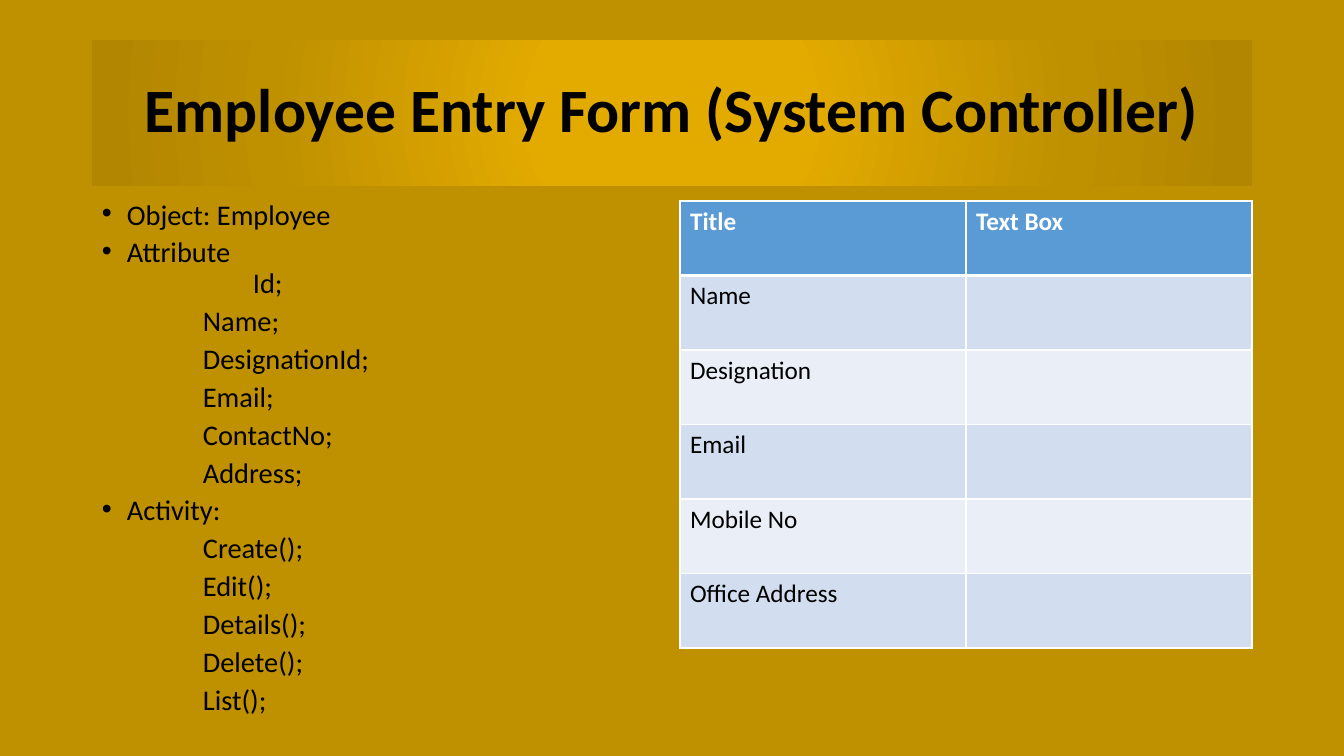
from lxml.etree import SubElement
from pptx import Presentation
from pptx.dml.color import RGBColor
from pptx.enum.shapes import MSO_SHAPE as Shape
from pptx.enum.text import MSO_ANCHOR as Anchor, PP_ALIGN as Align
from pptx.oxml.ns import qn
from pptx.oxml.xmlchemy import OxmlElement
from pptx.util import Pt

EMU_PER_PIXEL = 914400 / 100.8
FONT = "Calibri"
BLACK = RGBColor(0x00, 0x00, 0x00)
WHITE = RGBColor(0xFF, 0xFF, 0xFF)
OCHRE = RGBColor(0xBF, 0x90, 0x00)
AMBER = RGBColor(0xE3, 0xAB, 0x00)
BRONZE = RGBColor(0xB2, 0x86, 0x00)
HEADER_BLUE = RGBColor(0x5B, 0x9B, 0xD5)
ROW_BLUES = (RGBColor(0xD2, 0xDE, 0xEF), RGBColor(0xEA, 0xEF, 0xF7))
BANNER_STOPS = ((0, AMBER), (23, AMBER), (69, OCHRE), (97, BRONZE))

# Level: (left margin, first-line indent, space before in points, bullet)
LEVELS = {
    "heading": (25, -25, 10, "•"),
    "first": (151, 0, 5, None),
    "member": (101, 0, 10, None),
}
OUTLINE = (
    ("heading", ("Object: Employee", "Attribute")),
    ("first", ("Id;",)),
    ("member", ("Name;", "DesignationId;", "Email;", "ContactNo;", "Address;")),
    ("heading", ("Activity:",)),
    ("member", ("Create();", "Edit();", "Details();", "Delete();", "List();")),
)
FORM_ROWS = (
    ("Title", "Text Box"),
    ("Name", ""),
    ("Designation", ""),
    ("Email", ""),
    ("Mobile No", ""),
    ("Office Address", ""),
)


def px(pixels):
    """Turn pixels into EMU."""
    return round(pixels * EMU_PER_PIXEL)


class SlideBuilder:
    """Holds the text style and the current slide."""

    def __init__(self, slide, font, color):
        """Keep the slide, its font and its text colour."""
        self.slide, self.font, self.color = slide, font, color

    def background(self, color):
        """Fill the slide background."""
        fill = self.slide.background.fill
        fill.solid()
        fill.fore_color.rgb = color

    def run(self, paragraph, text, size, bold=False, color=None):
        """Add one styled run."""
        run = paragraph.add_run()
        run.text = text
        run.font.name, run.font.size, run.font.bold = self.font, Pt(size), bold
        run.font.color.rgb = color or self.color

    def banner(self, box, text, size, stops):
        """Draw the title on a radial gradient."""
        banner = self.slide.shapes.add_shape(Shape.RECTANGLE, *map(px, box))
        banner.shadow.inherit = False
        banner.line.fill.background()
        banner.fill.gradient()
        gradient = banner._element.spPr.find(qn("a:gradFill"))
        for child in list(gradient):
            gradient.remove(child)
        stop_list = SubElement(gradient, qn("a:gsLst"))
        for percent, color in stops:
            stop = SubElement(stop_list, qn("a:gs"), pos=str(percent * 1000))
            SubElement(stop, qn("a:srgbClr"), val=str(color))
        circle = SubElement(gradient, qn("a:path"), path="circle")
        center = dict.fromkeys("ltrb", "50000")
        SubElement(circle, qn("a:fillToRect"), **center)
        frame = banner.text_frame
        frame.word_wrap = True
        frame.vertical_anchor = Anchor.MIDDLE
        title = frame.paragraphs[0]
        title.alignment, title.line_spacing = Align.CENTER, 0.9
        self.run(title, text, size, bold=True)

    def outline(self, box, groups, size):
        """Write an indented list of (level, lines) groups."""
        frame = self.slide.shapes.add_textbox(*map(px, box)).text_frame
        frame.word_wrap = True
        entries = [(level, line) for level, lines in groups for line in lines]
        for index, (level, line) in enumerate(entries):
            paragraph = frame.add_paragraph() if index else frame.paragraphs[0]
            margin, indent, before, bullet = LEVELS[level]
            paragraph.line_spacing, paragraph.space_before = 0.7, Pt(before)
            properties = paragraph._p.get_or_add_pPr()
            properties.set("marL", str(px(margin)))
            properties.set("indent", str(px(indent)))
            if bullet:
                SubElement(properties, qn("a:buFont"), typeface="Arial")
                SubElement(properties, qn("a:buChar"), char=bullet)
            self.run(paragraph, line, size)

    def borders(self, cell, color, top, bottom):
        """Draw the four cell borders, with widths in points."""
        properties = cell._tc.get_or_add_tcPr()
        widths = {"L": 1, "R": 1, "T": top, "B": bottom}
        for position, (side, width) in enumerate(widths.items()):
            line = OxmlElement(f"a:ln{side}")
            line.set("w", str(Pt(width)))
            fill = SubElement(line, qn("a:solidFill"))
            SubElement(fill, qn("a:srgbClr"), val=str(color))
            properties.insert(position, line)

    def table(self, box, rows, size):
        """Add a table with a header and banded rows."""
        shapes = self.slide.shapes
        frame = shapes.add_table(len(rows), len(rows[0]), *map(px, box))
        for r, texts in enumerate(rows):
            header = r == 0
            for c, text in enumerate(texts):
                cell = frame.table.cell(r, c)
                cell.fill.solid()
                cell.fill.fore_color.rgb = HEADER_BLUE if header else ROW_BLUES[(r - 1) % 2]
                self.borders(cell, WHITE, 3 if r == 1 else 1, 3 if header else 1)
                if text:
                    self.run(cell.text_frame.paragraphs[0], text, size,
                             header, WHITE if header else BLACK)


def main():
    """Build the employee form slide."""
    deck = Presentation()
    deck.slide_width, deck.slide_height = px(1344), px(756)
    page = SlideBuilder(deck.slides.add_slide(deck.slide_layouts[6]), FONT, BLACK)
    page.background(OCHRE)
    page.banner((92, 40, 1160, 146), "Employee Entry Form (System Controller)",
                44, BANNER_STOPS)
    page.outline((92, 201, 572, 522), OUTLINE, 20.3)
    page.table((680, 201, 572, 447), FORM_ROWS, 18)
    deck.save("out.pptx")


main()
